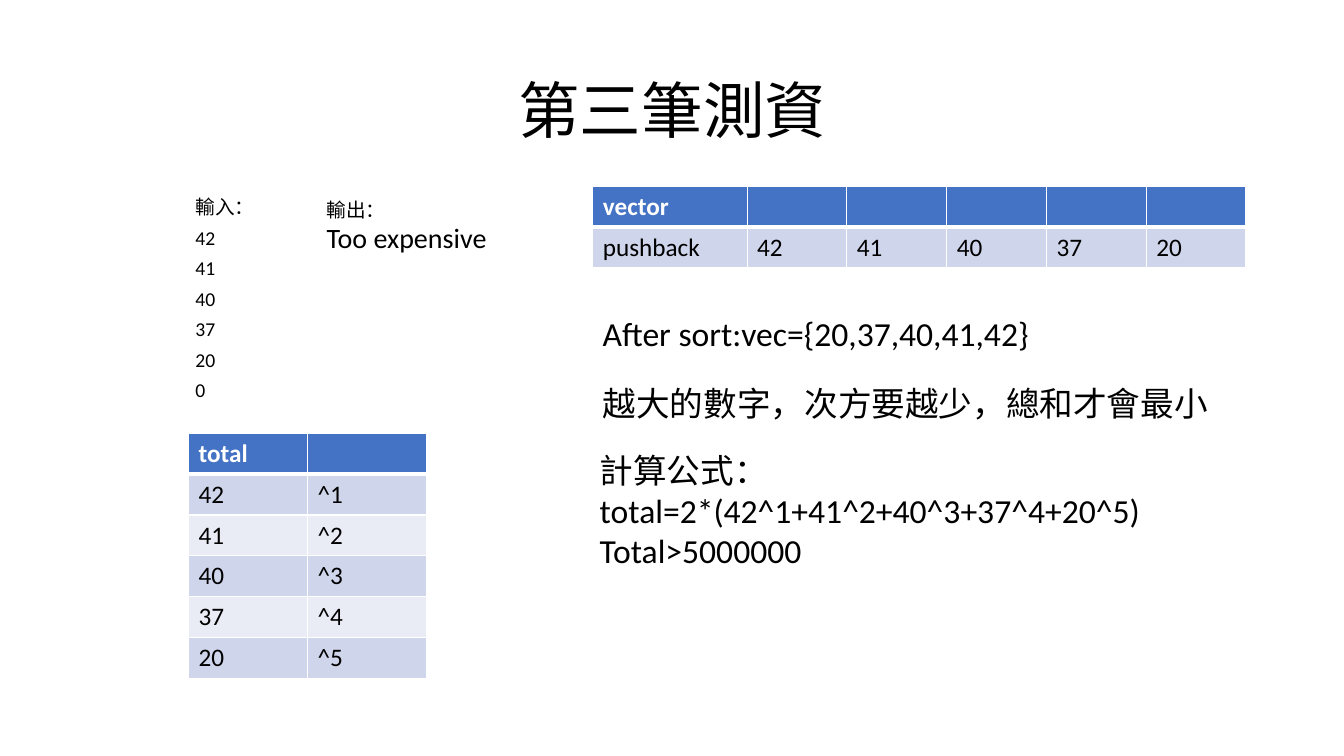
import pptx
import pptx.dml.color
import pptx.enum.text
import pptx.oxml.ns
import pptx.util
from lxml import etree

Inches = pptx.util.Inches
Pt = pptx.util.Pt
ALIGN = pptx.enum.text.PP_ALIGN
ANCHOR = pptx.enum.text.MSO_ANCHOR
BLACK, WHITE, HEADER = "000000", "FFFFFF", "4472C4"
BANDS = ["CFD5EA", "E9EBF5"]
ROW_HEIGHT = 0.405


def color(hex_string):
    return pptx.dml.color.RGBColor.from_string(hex_string)


def set_values(target, values):
    for name, value in values.items():
        setattr(target, name, value)


def add_run(paragraph, text, size, font="Calibri", fill=BLACK, bold=False):
    run = paragraph.add_run()
    run.text = text
    set_values(run.font, {"size": Pt(size), "name": font, "bold": bold})
    run.font.color.rgb = color(fill)


def add_text(slide, box, lines, paragraph_format=None, anchor=ANCHOR.TOP):
    shape = slide.shapes.add_textbox(*map(Inches, box))
    frame = shape.text_frame
    set_values(frame, {"word_wrap": True, "vertical_anchor": anchor})
    for index, line in enumerate(lines):
        paragraph = frame.add_paragraph() if index else frame.paragraphs[0]
        set_values(paragraph, paragraph_format or {})
        add_run(paragraph, *line)


def add_borders(cell, bottom_width):
    properties = cell._tc.get_or_add_tcPr()
    widths = {"a:lnL": 1, "a:lnR": 1, "a:lnT": 1, "a:lnB": bottom_width}
    for tag, width in widths.items():
        line = etree.SubElement(properties, pptx.oxml.ns.qn(tag), w=str(Pt(width)))
        fill = etree.SubElement(line, pptx.oxml.ns.qn("a:solidFill"))
        etree.SubElement(fill, pptx.oxml.ns.qn("a:srgbClr"), val=WHITE)


def add_table(slide, left, top, column_widths, rows):
    size = (sum(column_widths), ROW_HEIGHT * len(rows))
    frame = slide.shapes.add_table(
        len(rows), len(column_widths), *map(Inches, (left, top, *size)))
    table = frame.table
    for column, width in zip(table.columns, column_widths):
        column.width = Inches(width)
    for row_index, values in enumerate(rows):
        table.rows[row_index].height = Inches(ROW_HEIGHT)
        is_header = row_index == 0
        for column_index, value in enumerate(values):
            cell = table.cell(row_index, column_index)
            add_borders(cell, 3 if is_header else 1)
            cell.fill.solid()
            cell.fill.fore_color.rgb = color(
                HEADER if is_header else BANDS[(row_index - 1) % 2])
            if value:
                add_run(cell.text_frame.paragraphs[0], value, 18,
                        fill=WHITE if is_header else BLACK, bold=is_header)


def main():
    presentation = pptx.Presentation()
    set_values(presentation, {"slide_width": Inches(13.33), "slide_height": Inches(7.5)})
    slide = presentation.slides.add_slide(presentation.slide_layouts[6])
    numbers = ["42", "41", "40", "37", "20"]

    add_text(slide, (0.92, 0.4, 11.5, 1.45), [("第三筆測資", 44)],
             {"alignment": ALIGN.CENTER, "line_spacing": 0.9}, ANCHOR.MIDDLE)
    add_text(slide, (1.84, 1.95, 1.69, 2.25),
             [("輸入：", 14, "Arial")] + [(number, 14) for number in numbers + ["0"]],
             {"line_spacing": 0.7, "space_before": Pt(10)})
    add_text(slide, (3.14, 1.91, 2.08, 0.67),
             [("輸出：", 14, "Arial"), ("Too expensive", 20)])
    add_text(slide, (5.88, 3.06, 6.13, 0.5), [("After sort:vec={20,37,40,41,42}", 24)])
    add_text(slide, (5.88, 3.75, 6.38, 0.5), [("越大的數字，次方要越少，總和才會最小", 24)])
    add_text(slide, (5.85, 4.41, 7.1, 1.31),
             [("計算公式：total=2*(42^1+41^2+40^3+37^4+20^5)", 24),
              ("Total>5000000", 24)])

    add_table(slide, 5.88, 1.85, [1.53] + [0.99] * len(numbers),
              [["vector"] + [""] * len(numbers), ["pushback"] + numbers])
    powers = [[number, f"^{power}"] for power, number in enumerate(numbers, 1)]
    add_table(slide, 1.87, 4.3, [1.18] * 2, [["total", ""]] + powers)

    presentation.save("out.pptx")


if __name__ == "__main__":
    main()
